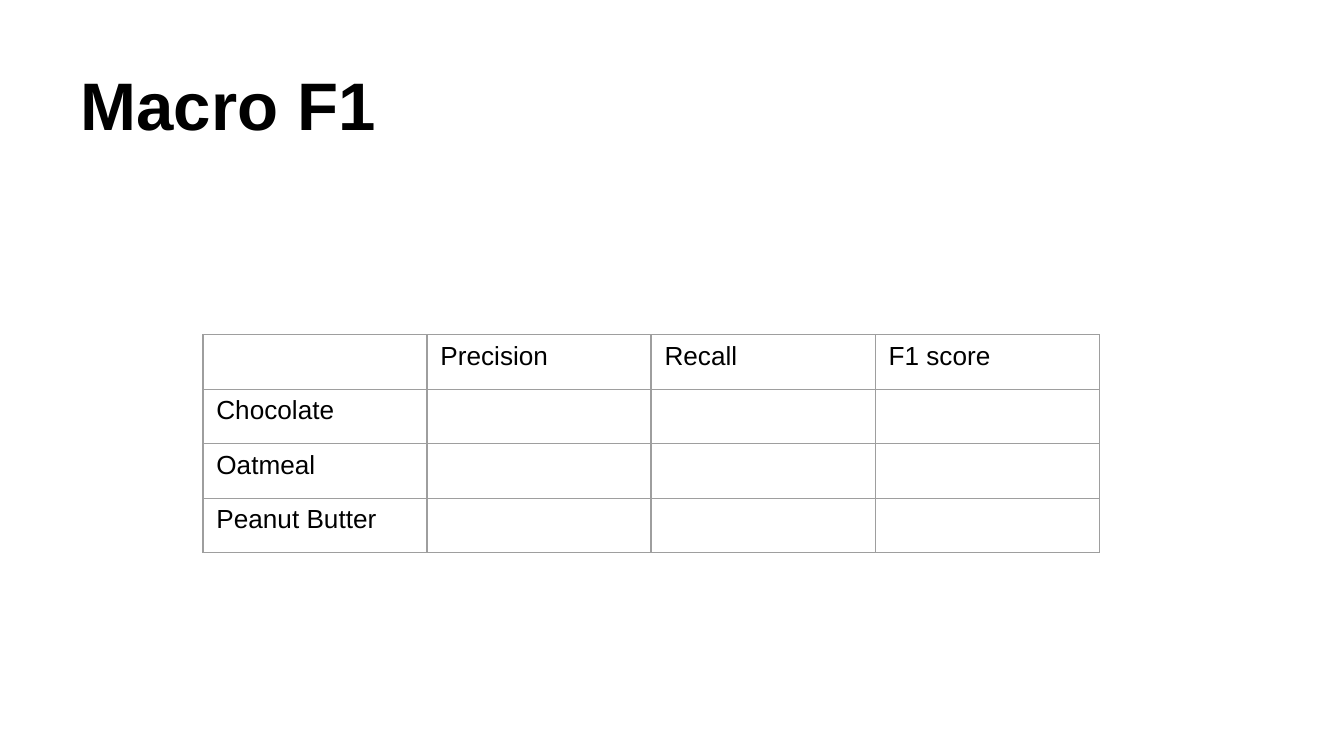
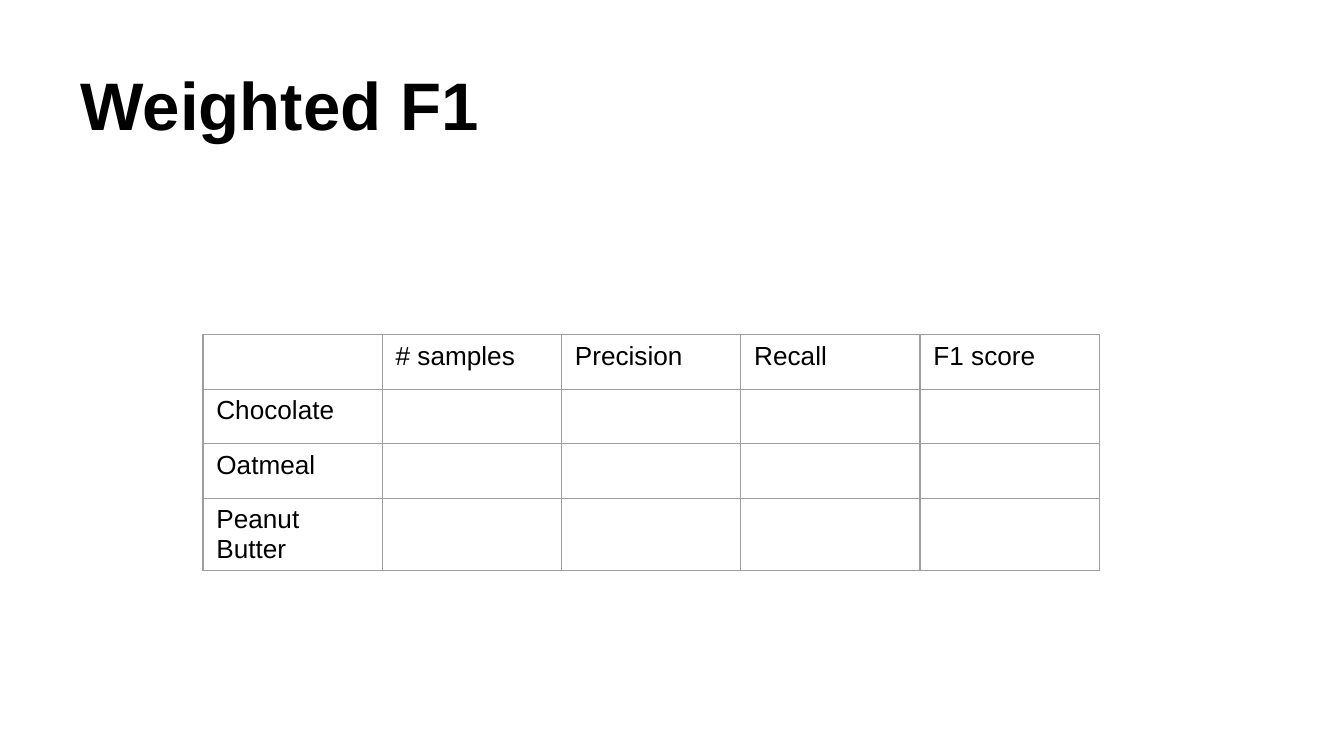
from dataclasses import dataclass

from lxml.etree import SubElement
from pptx import Presentation
from pptx.dml.color import RGBColor
from pptx.enum.text import MSO_ANCHOR, MSO_AUTO_SIZE, PP_ALIGN
from pptx.oxml.ns import qn
from pptx.util import Inches, Pt

COOKIES = ["Chocolate", "Oatmeal", "Peanut Butter"]
SCORES = ["Precision", "Recall", "F1 score"]
SLIDES = [
    ("Macro F1", SCORES),
    ("Weighted F1", ["# samples"] + SCORES),
]


@dataclass(frozen=True)
class Theme:
    font: str = "Arial"
    text: str = "000000"
    background: str = "FFFFFF"
    border: str = "9E9E9E"
    border_width: float = 0.75
    title_size: int = 36
    table_size: int = 14


THEME = Theme()
SLIDE_WIDTH = 10
SLIDE_HEIGHT = SLIDE_WIDTH * 9 / 16
TITLE_BOX = (0.5, 0.23, 9, 0.94)
TITLE_INSET = 0.1
TABLE_BOX = (1.51, 2.49, 6.67, 1.62)


def add_text(paragraph, text, size, bold=False):
    run = paragraph.add_run()
    run.text = text
    run.font.name = THEME.font
    run.font.size = Pt(size)
    run.font.bold = bold
    run.font.color.rgb = RGBColor.from_string(THEME.text)


def set_title(slide, text):
    title = slide.shapes.title
    title.left, title.top, title.width, title.height = map(Inches, TITLE_BOX)
    frame = title.text_frame
    frame.auto_size = MSO_AUTO_SIZE.NONE
    frame.word_wrap = True
    frame.vertical_anchor = MSO_ANCHOR.BOTTOM
    frame.margin_left = frame.margin_right = Inches(TITLE_INSET)
    frame.margin_top = frame.margin_bottom = Inches(TITLE_INSET)
    frame.paragraphs[0].alignment = PP_ALIGN.LEFT
    add_text(frame.paragraphs[0], text, THEME.title_size, bold=True)


def set_borders(cell):
    properties = cell._tc.get_or_add_tcPr()
    for position, side in enumerate(("lnL", "lnR", "lnT", "lnB")):
        line = SubElement(properties, qn(f"a:{side}"), w=str(Pt(THEME.border_width)))
        fill = SubElement(line, qn("a:solidFill"))
        SubElement(fill, qn("a:srgbClr"), val=THEME.border)
        properties.insert(position, line)


def add_score_table(slide, headings):
    rows = [[""] + headings]
    rows += [[cookie] + [""] * len(headings) for cookie in COOKIES]
    columns = len(rows[0])
    left, top, width, height = map(Inches, TABLE_BOX)
    table = slide.shapes.add_table(len(rows), columns, left, top, width, height).table
    table.first_row = table.horz_banding = False
    for column in table.columns:
        column.width = width // columns
    for row, texts in zip(table.rows, rows):
        row.height = height // len(rows)
        for cell, text in zip(row.cells, texts):
            cell.fill.background()
            set_borders(cell)
            if text:
                add_text(cell.text_frame.paragraphs[0], text, THEME.table_size)


def main():
    presentation = Presentation()
    presentation.slide_width = Inches(SLIDE_WIDTH)
    presentation.slide_height = Inches(SLIDE_HEIGHT)
    background = presentation.slide_master.background.fill
    background.solid()
    background.fore_color.rgb = RGBColor.from_string(THEME.background)
    for title, headings in SLIDES:
        slide = presentation.slides.add_slide(presentation.slide_layouts[5])
        set_title(slide, title)
        add_score_table(slide, headings)
    presentation.save("out.pptx")


if __name__ == "__main__":
    main()
